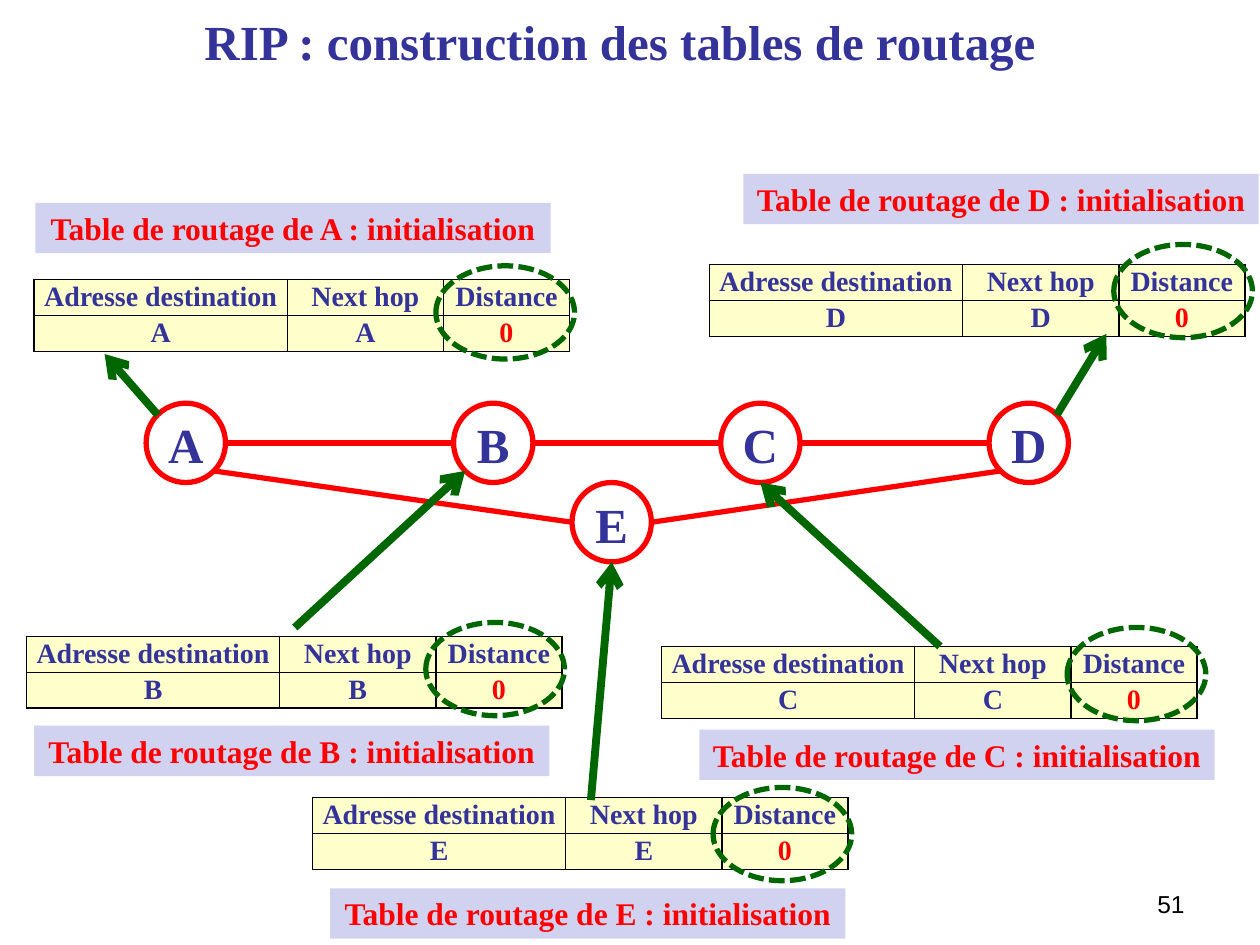
import math
from dataclasses import dataclass

import lxml.etree
import pptx
import pptx.dml.color
import pptx.enum.dml
import pptx.enum.shapes
import pptx.enum.text
import pptx.oxml.ns
import pptx.util

Inches = pptx.util.Inches
Pt = pptx.util.Pt
Shape = pptx.enum.shapes.MSO_SHAPE
Align = pptx.enum.text.PP_ALIGN
Anchor = pptx.enum.text.MSO_ANCHOR
qn = pptx.oxml.ns.qn


@dataclass(frozen=True)
class Theme:
    navy: str = "333399"
    red: str = "FF0000"
    green: str = "006600"
    cream: str = "FFFFCC"
    lilac: str = "D1D1F0"
    black: str = "000000"
    serif: str = "Times New Roman"
    sans: str = "Arial"
    head: int = 28
    label: int = 18
    cell: int = 16
    page: int = 14
    link: float = 3
    arrow: float = 4.5


def color(code):
    return pptx.dml.color.RGBColor.from_string(code)


class Board:
    def __init__(self, slide, theme):
        self.slide = slide
        self.shapes = slide.shapes
        self.theme = theme

    def letter(self, frame, text, size, ink, font=None, bold=True,
               align=Align.CENTER, before=0):
        frame.text = text
        par = frame.paragraphs[0]
        par.alignment = align
        par.space_before = Pt(before)
        for run in par.runs:
            run.font.name = font or self.theme.serif
            run.font.size = Pt(size)
            run.font.bold = bold
            run.font.color.rgb = color(ink)

    def inset(self, item, side, top):
        item.margin_left = item.margin_right = Inches(side)
        item.margin_top = item.margin_bottom = Inches(top)

    def title(self, text):
        box = self.shapes.title
        box.left, box.top = Inches(0.67), Inches(0.05)
        box.width, box.height = Inches(8.5), Inches(0.55)
        frame = box.text_frame
        frame.vertical_anchor = Anchor.MIDDLE
        self.inset(frame, 0.1, 0.05)
        self.letter(frame, text, self.theme.head, self.theme.navy)

    def page(self, text):
        box = self.shapes.add_textbox(
            Inches(7.17), Inches(7.01), Inches(2.33), Inches(0.28))
        box.text_frame.word_wrap = True
        self.letter(box.text_frame, text, self.theme.page, self.theme.black,
                    self.theme.sans, False, Align.RIGHT)

    def shape(self, kind, x, y, w, h, fill=None, ink=None):
        item = self.shapes.add_shape(
            kind, Inches(x), Inches(y), Inches(w), Inches(h))
        item.shadow.inherit = False
        if fill:
            item.fill.solid()
            item.fill.fore_color.rgb = color(fill)
        else:
            item.fill.background()
        if ink:
            item.line.color.rgb = color(ink)
            item.line.width = Pt(self.theme.link)
        else:
            item.line.fill.background()
        return item

    def node(self, name, x, y, size):
        item = self.shape(Shape.OVAL, x, y, size, size, ink=self.theme.red)
        frame = item.text_frame
        frame.vertical_anchor = Anchor.TOP
        self.inset(frame, 0, 0)
        self.letter(frame, name, self.theme.head, self.theme.navy, before=3)

    def ring(self, x, y):
        item = self.shape(Shape.OVAL, x, y, 1.1, 0.74, ink=self.theme.green)
        item.line.dash_style = pptx.enum.dml.MSO_LINE.SQUARE_DOT

    def label(self, text, x, y):
        item = self.shape(Shape.RECTANGLE, x, y, 4.09, 0.4, self.theme.lilac)
        frame = item.text_frame
        frame.word_wrap = False
        frame.vertical_anchor = Anchor.TOP
        self.letter(frame, text, self.theme.label, self.theme.red, before=2)

    def line(self, start, end, ink, width, head=False):
        item = self.shapes.add_connector(
            pptx.enum.shapes.MSO_CONNECTOR.STRAIGHT,
            *[Inches(n) for n in (*start, *end)])
        item.line.color.rgb = color(ink)
        item.line.width = Pt(width)
        props = item._element.spPr
        if head:
            lxml.etree.SubElement(
                props.find(qn("a:ln")), qn("a:tailEnd"), type="arrow")
        lxml.etree.SubElement(props, qn("a:effectLst"))

    def border(self, cell):
        props = cell._tc.get_or_add_tcPr()
        for spot, side in enumerate(("lnL", "lnR", "lnT", "lnB")):
            edge = lxml.etree.Element(qn("a:" + side), w=str(Pt(1)))
            fill = lxml.etree.SubElement(edge, qn("a:solidFill"))
            lxml.etree.SubElement(
                fill, qn("a:srgbClr"), val=self.theme.black)
            props.insert(spot, edge)

    def table(self, rows, x, y):
        wide, high = (2.01, 1.24, 1), 0.285
        grid = self.shapes.add_table(
            len(rows), len(wide), Inches(x), Inches(y),
            Inches(sum(wide)), Inches(high * len(rows))).table
        for col, size in zip(grid.columns, wide):
            col.width = Inches(size)
        for r, row in enumerate(rows):
            grid.rows[r].height = Inches(high)
            for c, text in enumerate(row):
                cell = grid.cell(r, c)
                self.inset(cell, 0.07, 0)
                cell.fill.solid()
                cell.fill.fore_color.rgb = color(self.theme.cream)
                ink = self.theme.red if text == "0" else self.theme.navy
                self.letter(cell.text_frame, text, self.theme.cell, ink)
                cell.text_frame.paragraphs[0].line_spacing = 1.07
                self.border(cell)


SIZE = 0.63
NODES = {"A": (1.16, 3.2), "B": (3.6, 3.2), "C": (5.72, 3.2),
         "D": (7.85, 3.2), "E": (4.54, 3.83)}
LINKS = [("A", 0, "B", 180), ("B", 0, "C", 180), ("C", 0, "D", 180),
         ("A", 45, "E", 180), ("E", 0, "D", 135)]
TABLES = {"A": ((0.27, 2.22), (0.28, 1.61), (3.46, 2.11)),
          "B": ((0.21, 5.05), (0.27, 5.76), (3.38, 4.94)),
          "C": ((5.25, 5.13), (5.55, 5.79), (8.47, 4.98)),
          "D": ((5.63, 2.1), (5.9, 1.38), (8.84, 1.94)),
          "E": ((2.48, 6.33), (2.62, 7.05), (5.66, 6.25))}
ARROWS = [("A", 225, (0.83, 2.81), True), ("D", 315, (8.78, 2.65), True),
          ("B", 135, (2.34, 4.98), False), ("C", 90, (7.46, 5.13), False),
          ("E", 90, (4.69, 6.35), False)]


def rim(name, angle):
    x, y = NODES[name]
    turn, half = math.radians(angle), SIZE / 2
    return x + half + half * math.cos(turn), y + half + half * math.sin(turn)


def main():
    deck = pptx.Presentation()
    deck.slide_width, deck.slide_height = Inches(10), Inches(7.5)
    theme = Theme()
    board = Board(deck.slides.add_slide(deck.slide_layouts[5]), theme)
    board.title("RIP : construction des tables de routage")
    board.page("51")
    for name, spot in NODES.items():
        board.node(name, *spot, SIZE)
    for first, out, last, into in LINKS:
        board.line(rim(first, out), rim(last, into), theme.red, theme.link)
    for name, (grid, label, ring) in TABLES.items():
        rows = [("Adresse destination", "Next hop", "Distance"),
                (name, name, "0")]
        board.table(rows, *grid)
        board.label(f"Table de routage de {name} : initialisation", *label)
        board.ring(*ring)
    for name, angle, far, leaves in ARROWS:
        ends = [rim(name, angle), far]
        start, end = ends if leaves else reversed(ends)
        board.line(start, end, theme.green, theme.arrow, True)
    deck.save("out.pptx")


if __name__ == "__main__":
    main()
